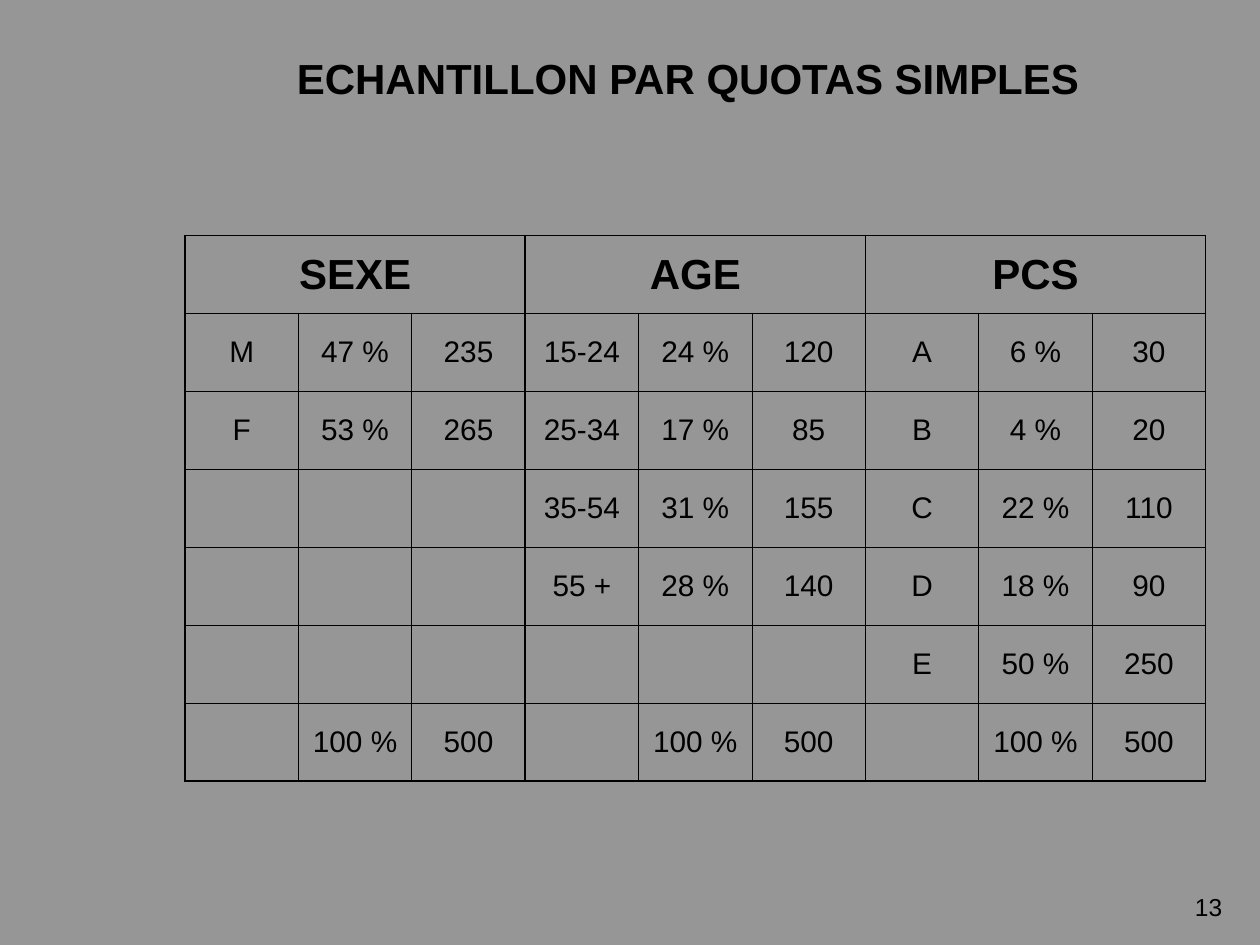
from lxml import etree
from pptx import Presentation
from pptx import util as u
from pptx.dml.color import RGBColor
from pptx.enum import text
from pptx.oxml import ns

BLACK, GREY = "000000", "969696"
FONT = "Arial"
THIN, THICK = 0.45, 1.08
TITLE = "ECHANTILLON PAR QUOTAS SIMPLES"
PAGE = "13"
QUOTAS = {
    "SEXE": [("M", "47 %", "235"), ("F", "53 %", "265")],
    "AGE": [("15-24", "24 %", "120"), ("25-34", "17 %", "85"),
            ("35-54", "31 %", "155"), ("55 +", "28 %", "140")],
    "PCS": [("A", "6 %", "30"), ("B", "4 %", "20"), ("C", "22 %", "110"),
            ("D", "18 %", "90"), ("E", "50 %", "250")],
}
TOTAL = ("", "100 %", "500")
ROWS, SPAN = 7, 3
COLS = SPAN * len(QUOTAS)
LEFT, TOP, WIDE, HIGH = 3.73, 4.75, 2.286, 1.57


def tint(code):
    return RGBColor.from_string(code)


def write(frame, words, size, align, bold=False):
    para = frame.paragraphs[0]
    para.alignment = align
    run = para.add_run()
    run.text = words
    run.font.name, run.font.size, run.font.bold = FONT, u.Pt(size), bold
    run.font.color.rgb = tint(BLACK)
    return run


def cast(run):
    """Give the letters of a run a drop shadow."""
    list_ = etree.SubElement(run.font._element, ns.qn("a:effectLst"))
    shade = etree.SubElement(list_, ns.qn("a:outerShdw"), dist="17961", dir="2700000")
    etree.SubElement(shade, ns.qn("a:srgbClr"), val="FFFFFF")
    # The schema wants effects right after the fill, ahead of the typeface.
    run.font._element.find(ns.qn("a:solidFill")).addnext(list_)


def edge(cell, row, col):
    """Thick lines around the header, each group and the foot; thin inside."""
    head = row == 0
    sides = {
        "L": head or col % SPAN == 0,
        "R": head or col % SPAN == SPAN - 1,
        "T": row <= 1,
        "B": head or row == ROWS - 1,
    }
    props = cell._tc.get_or_add_tcPr()
    for side, thick in sides.items():
        width = u.Pt(THICK if thick else THIN)
        line = etree.SubElement(props, ns.qn("a:ln" + side), w=str(width))
        fill = etree.SubElement(line, ns.qn("a:solidFill"))
        etree.SubElement(fill, ns.qn("a:srgbClr"), val=BLACK)


def label(slide, box, words, size, align, bold=False, wrap=True):
    frame = slide.shapes.add_textbox(*map(u.Cm, box)).text_frame
    frame.word_wrap = wrap
    return write(frame, words, size, align, bold)


def grid(slide):
    table = slide.shapes.add_table(
        ROWS, COLS, u.Cm(LEFT), u.Cm(TOP), u.Cm(WIDE * COLS), u.Cm(HIGH * ROWS)).table
    table.first_row = table.horz_banding = False
    for col in table.columns:
        col.width = u.Cm(WIDE)
    for row in table.rows:
        row.height = u.Cm(HIGH)
    for r in range(ROWS):
        for c in range(COLS):
            cell = table.cell(r, c)
            edge(cell, r, c)
            cell.fill.background()
            cell.vertical_anchor = text.MSO_ANCHOR.MIDDLE

    mid = text.PP_ALIGN.CENTER
    for n, (name, lines) in enumerate(QUOTAS.items()):
        first = n * SPAN
        head = table.cell(0, first)
        head.merge(table.cell(0, first + SPAN - 1))
        write(head.text_frame, name, 24, mid, True)
        for r, line in [*enumerate(lines, 1), (ROWS - 1, TOTAL)]:
            for c, words in enumerate(line, first):
                if words:
                    write(table.cell(r, c).text_frame, words, 17, mid)


def main():
    deck = Presentation()
    deck.slide_width, deck.slide_height = u.Cm(25.4), u.Cm(19.05)
    slide = deck.slides.add_slide(deck.slide_layouts[6])
    slide.background.fill.solid()
    slide.background.fill.fore_color.rgb = tint(GREY)
    grid(slide)
    cast(label(slide, (4.42, 0.94, 18.9, 1.27), TITLE, 24,
               text.PP_ALIGN.CENTER, True, False))
    label(slide, (18.97, 17.86, 5.92, 1.32), PAGE, 14, text.PP_ALIGN.RIGHT)
    deck.save("out.pptx")


if __name__ == "__main__":
    main()
